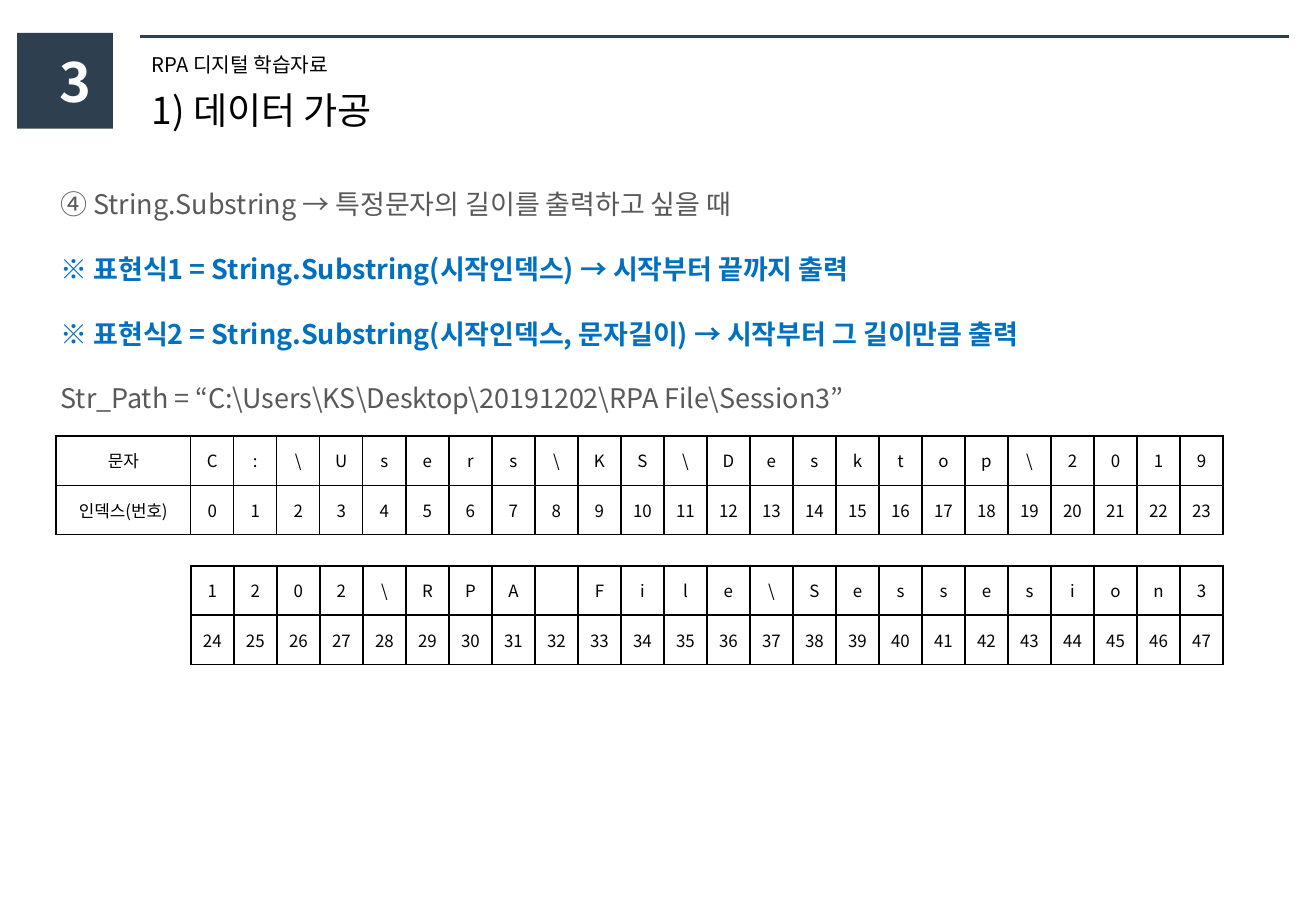
from dataclasses import dataclass

from lxml.etree import SubElement
from pptx import Presentation
from pptx.dml.color import RGBColor
from pptx.enum.shapes import MSO_CONNECTOR as Connector, MSO_SHAPE as Shape
from pptx.enum.text import MSO_ANCHOR as Anchor, MSO_AUTO_SIZE as AutoSize, PP_ALIGN as Align
from pptx.oxml import parse_xml
from pptx.oxml.ns import nsdecls, qn
from pptx.util import Inches, Pt

# Content
SECTION_NUMBER = "3"
COURSE = "RPA 디지털 학습자료"
TITLE = "1) 데이터 가공"
EXPLANATION = [  # text, is a formula
    ("④ String.Substring → 특정문자의 길이를 출력하고 싶을 때", False),
    ("※ 표현식1 = String.Substring(시작인덱스) → 시작부터 끝까지 출력", True),
    ("※ 표현식2 = String.Substring(시작인덱스, 문자길이) → 시작부터 그 길이만큼 출력", True),
    ("Str_Path = “C:\\Users\\KS\\Desktop\\20191202\\RPA File\\Session3”", False),
]
ROW_LABELS = ("문자", "인덱스(번호)")
PATH_PARTS = ("C:\\Users\\KS\\Desktop\\2019", "1202\\RPA File\\Sessesion3")


@dataclass(frozen=True)
class Theme:
    face: str = "Noto Sans CJK KR"
    navy: str = "2E3F4F"
    black: str = "000000"
    white: str = "FFFFFF"
    grey: str = "595959"
    blue: str = "0070C0"
    number_size: int = 32
    title_size: int = 22
    body_size: int = 16
    course_size: int = 12
    cell_size: int = 10


THEME = Theme()

# Table geometry in inches
LABEL_WIDTH, CHARACTERS_WIDTH, ROW_HEIGHT = 1.11, 8.5, 0.405
CHARACTERS_LEFT = 1.57
TABLE_TOPS = (3.59, 4.66)
CELL_MARGIN = 0.02


def color(value):
    return RGBColor.from_string(value)


def style(paragraph, size, ink, bold=False, align=Align.LEFT):
    paragraph.alignment = align
    font = paragraph.font
    font.name, font.size, font.bold = THEME.face, Pt(size), bold
    font.color.rgb = color(ink)
    defaults = paragraph._p.pPr.find(qn("a:defRPr"))
    SubElement(defaults, qn("a:ea")).set("typeface", THEME.face)


def add_text(slide, left, top, width, height, wrap=True):
    frame = slide.shapes.add_textbox(*map(Inches, (left, top, width, height))).text_frame
    frame.word_wrap = wrap
    return frame


def add_borders(cell):
    properties = cell._tc.get_or_add_tcPr()
    for position, side in enumerate(("lnL", "lnR", "lnT", "lnB")):
        properties.insert(position, parse_xml(
            f'<a:{side} {nsdecls("a")} w="{Pt(1)}"><a:solidFill>'
            f'<a:srgbClr val="{THEME.black}"/></a:solidFill></a:{side}>'))


def add_index_table(slide, top, characters, first_index, labels=()):
    rows = [list(characters),
            [str(first_index + offset) for offset in range(len(characters))]]
    widths = [CHARACTERS_WIDTH / len(characters)] * len(characters)
    left = CHARACTERS_LEFT
    if labels:
        rows = [[label, *row] for label, row in zip(labels, rows)]
        widths.insert(0, LABEL_WIDTH)
        left -= LABEL_WIDTH
    table = slide.shapes.add_table(
        len(rows), len(widths), Inches(left), Inches(top),
        Inches(sum(widths)), Inches(ROW_HEIGHT * len(rows))).table
    table.first_row = table.horz_banding = False
    for column, width in zip(table.columns, widths):
        column.width = Inches(width)
    for r, row in enumerate(rows):
        for c, value in enumerate(row):
            cell = table.cell(r, c)
            cell.text = value.strip()
            cell.vertical_anchor = Anchor.MIDDLE
            cell.margin_left = cell.margin_right = Inches(CELL_MARGIN)
            cell.margin_top = cell.margin_bottom = Inches(CELL_MARGIN)
            cell.fill.background()
            add_borders(cell)
            style(cell.text_frame.paragraphs[0], THEME.cell_size, THEME.black, align=Align.CENTER)


def main():
    deck = Presentation()
    deck.slide_width, deck.slide_height = Inches(10.83), Inches(7.5)
    slide = deck.slides.add_slide(deck.slide_layouts[5])

    # Header rule
    rule = slide.shapes.add_connector(
        Connector.STRAIGHT, Inches(1.15), Inches(0.3), Inches(10.61), Inches(0.3))
    rule.line.color.rgb = color(THEME.navy)
    rule.line.width = Pt(1.5)
    SubElement(rule._element.spPr, qn("a:effectLst"))

    # Section number
    badge = slide.shapes.add_shape(
        Shape.RECTANGLE, Inches(0.14), Inches(0.27), Inches(0.79), Inches(0.79))
    badge.shadow.inherit = False
    badge.fill.solid()
    badge.fill.fore_color.rgb = color(THEME.navy)
    badge.line.fill.background()
    number = add_text(slide, 0.39, 0.35, 0.28, 0.64)
    number.text = SECTION_NUMBER
    style(number.paragraphs[0], THEME.number_size, THEME.white, True, Align.CENTER)

    # Course name and title
    course = add_text(slide, 1.15, 0.38, 1.92, 0.3, wrap=False)
    course.text = COURSE
    style(course.paragraphs[0], THEME.course_size, THEME.black)
    title = slide.shapes.title
    title.left, title.top, title.width, title.height = map(Inches, (1.15, 0.67, 2.23, 0.47))
    heading = title.text_frame
    heading.text = TITLE
    heading.word_wrap = False
    heading.auto_size = AutoSize.NONE
    heading.vertical_anchor = Anchor.TOP
    style(heading.paragraphs[0], THEME.title_size, THEME.black)

    # Explanation
    explanation = add_text(slide, 0.4, 1.23, 9.99, 2.17)
    explanation.text = "\n".join(text for text, _ in EXPLANATION)
    for paragraph, (_, is_formula) in zip(explanation.paragraphs, EXPLANATION):
        paragraph.line_spacing = 2.0
        style(paragraph, THEME.body_size, THEME.blue if is_formula else THEME.grey, is_formula)

    # Character index tables
    first_index = 0
    for top, part, labels in zip(TABLE_TOPS, PATH_PARTS, (ROW_LABELS, ())):
        add_index_table(slide, top, part, first_index, labels)
        first_index += len(part)

    deck.save("out.pptx")


if __name__ == "__main__":
    main()
